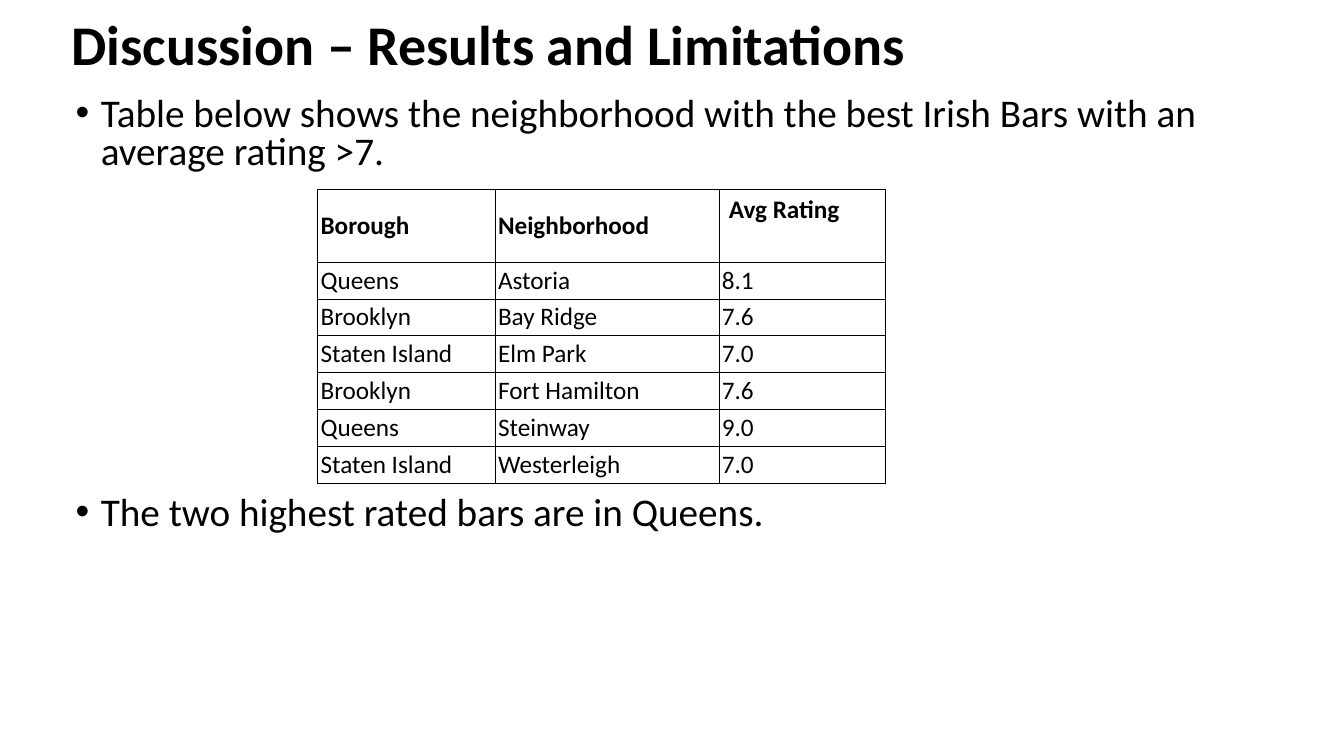
from dataclasses import dataclass

from lxml.etree import SubElement
from pptx import Presentation
from pptx.dml.color import RGBColor
from pptx.enum.text import MSO_ANCHOR, MSO_AUTO_SIZE, PP_ALIGN
from pptx.oxml.ns import qn
from pptx.util import Inches, Pt

INK = {"text": "000000", "rule": "000000", "page": "FFFFFF"}
FONT = "Calibri"
WIDTHS = [1.76, 2.22, 1.65]
HEAD, ROW = 0.72, 0.36


@dataclass
class Bar:
    borough: str
    hood: str
    rating: str


@dataclass
class Point:
    text: str
    before: int


BARS = [
    Bar("Borough", "Neighborhood", "Avg Rating"),
    Bar("Queens", "Astoria", "8.1"),
    Bar("Brooklyn", "Bay Ridge", "7.6"),
    Bar("Staten Island", "Elm Park", "7.0"),
    Bar("Brooklyn", "Fort Hamilton", "7.6"),
    Bar("Queens", "Steinway", "9.0"),
    Bar("Staten Island", "Westerleigh", "7.0"),
]
POINTS = [
    Point("Table below shows the neighborhood with the best Irish Bars "
          "with an average rating >7.", 10),
    Point("The two highest rated bars are in Queens.", 231),
]


def style(para, size: int, bold: bool = False) -> None:
    for run in para.runs:
        run.font.name = FONT
        run.font.size = Pt(size)
        run.font.bold = bold
        run.font.color.rgb = RGBColor.from_string(INK["text"])


def place(shape, left: float, top: float, width: float, height: float) -> None:
    shape.left, shape.top = Inches(left), Inches(top)
    shape.width, shape.height = Inches(width), Inches(height)
    shape.text_frame.word_wrap = True
    shape.text_frame.auto_size = MSO_AUTO_SIZE.NONE


def add_title(slide) -> None:
    title = slide.shapes.title
    place(title, 0.61, 0.1, 11.58, 0.73)
    frame = title.text_frame
    frame.text = "Discussion – Results and Limitations"
    frame.vertical_anchor = MSO_ANCHOR.MIDDLE
    para = frame.paragraphs[0]
    para.alignment = PP_ALIGN.LEFT
    para.line_spacing = 0.9
    style(para, 40, True)


def add_list(slide, points: list[Point]) -> None:
    body = slide.placeholders[1]
    place(body, 0.65, 0.92, 11.5, 4.76)
    frame = body.text_frame
    frame.vertical_anchor = MSO_ANCHOR.TOP
    frame.text = "\n".join(point.text for point in points)
    for para, point in zip(frame.paragraphs, points):
        para.line_spacing = 0.8
        para.space_before = Pt(point.before)
        style(para, 28)
        props = para._p.get_or_add_pPr()
        props.set("marL", str(Inches(0.25)))
        props.set("indent", str(Inches(-0.25)))
        SubElement(props, qn("a:buFont"), typeface="Arial")
        SubElement(props, qn("a:buChar"), char="•")


def frame_cell(cell) -> None:
    props = cell._tc.get_or_add_tcPr()
    for side in "LRTB":
        line = SubElement(props, qn(f"a:ln{side}"), w=str(Pt(0.5)))
        fill = SubElement(line, qn("a:solidFill"))
        SubElement(fill, qn("a:srgbClr"), val=INK["rule"])
    cell.fill.solid()
    cell.fill.fore_color.rgb = RGBColor.from_string(INK["page"])


def add_grid(slide, bars: list[Bar]) -> None:
    heights = [HEAD] + [ROW] * (len(bars) - 1)
    table = slide.shapes.add_table(
        len(bars), len(WIDTHS), Inches(3.15), Inches(1.88),
        Inches(sum(WIDTHS)), Inches(sum(heights))).table
    table.first_row = table.horz_banding = False
    for col, width in zip(table.columns, WIDTHS):
        col.width = Inches(width)
    for r, (bar, height) in enumerate(zip(bars, heights)):
        table.rows[r].height = Inches(height)
        for c, text in enumerate((bar.borough, bar.hood, bar.rating)):
            cell = table.cell(r, c)
            cell.text_frame.text = text
            style(cell.text_frame.paragraphs[0], 18, r == 0)
            if (r, c) != (0, 2):
                cell.vertical_anchor = MSO_ANCHOR.MIDDLE
                cell.margin_left = cell.margin_right = Inches(0.03)
                cell.margin_top = cell.margin_bottom = Inches(0.03)
            frame_cell(cell)


def main() -> None:
    deck = Presentation()
    deck.slide_width, deck.slide_height = Inches(13.33), Inches(7.5)
    slide = deck.slides.add_slide(deck.slide_layouts[1])
    add_title(slide)
    add_list(slide, POINTS)
    add_grid(slide, BARS)
    deck.save("out.pptx")


if __name__ == "__main__":
    main()
